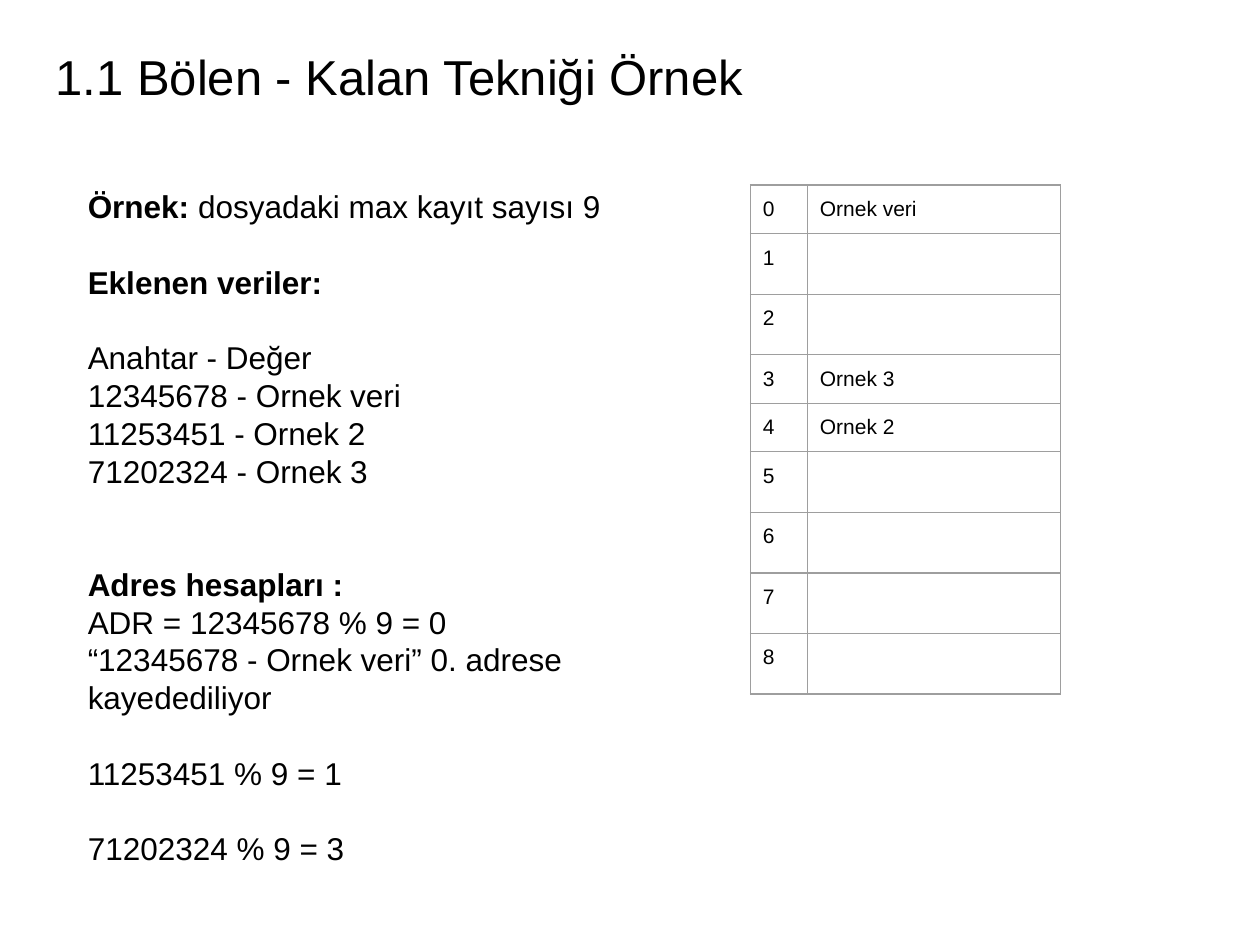
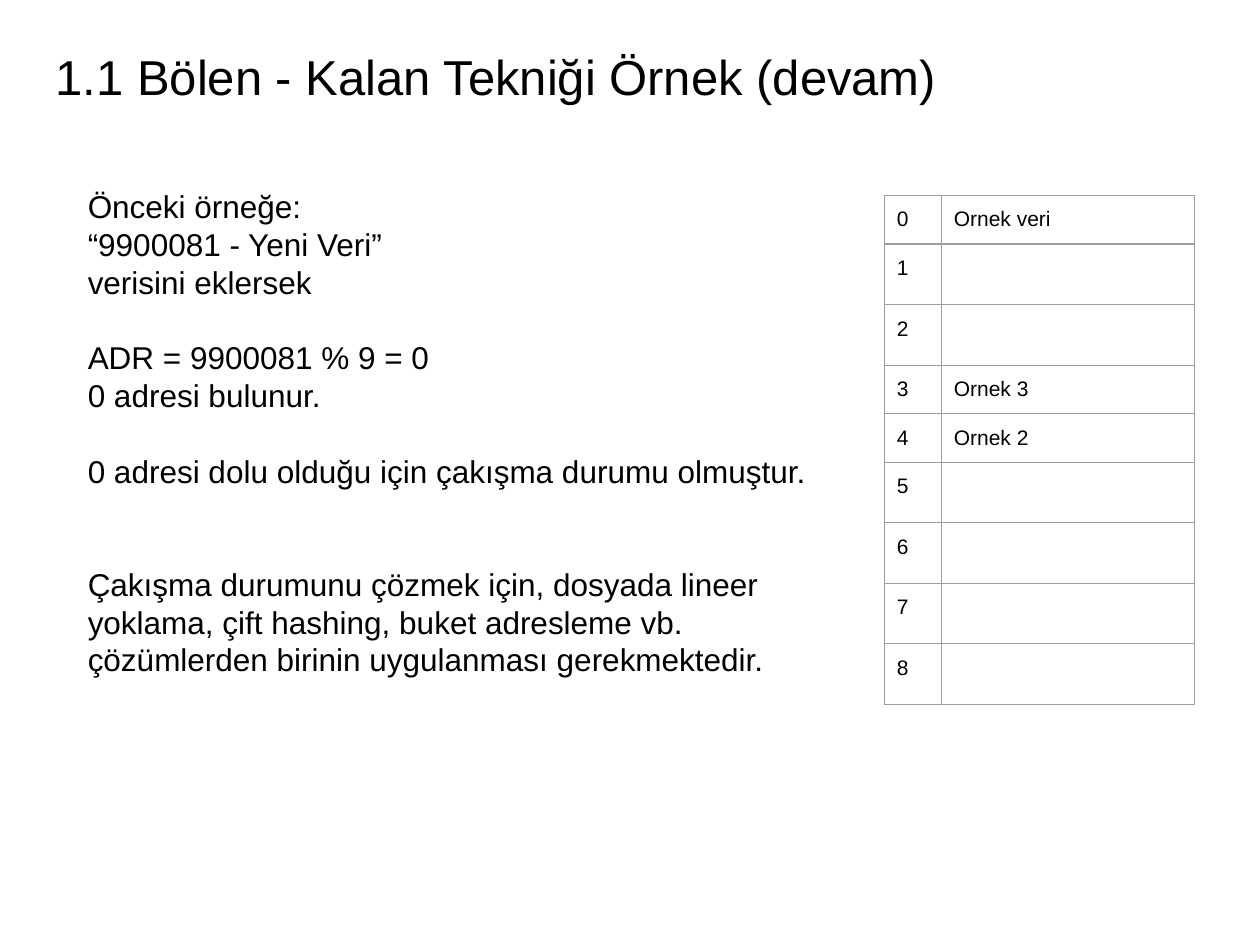
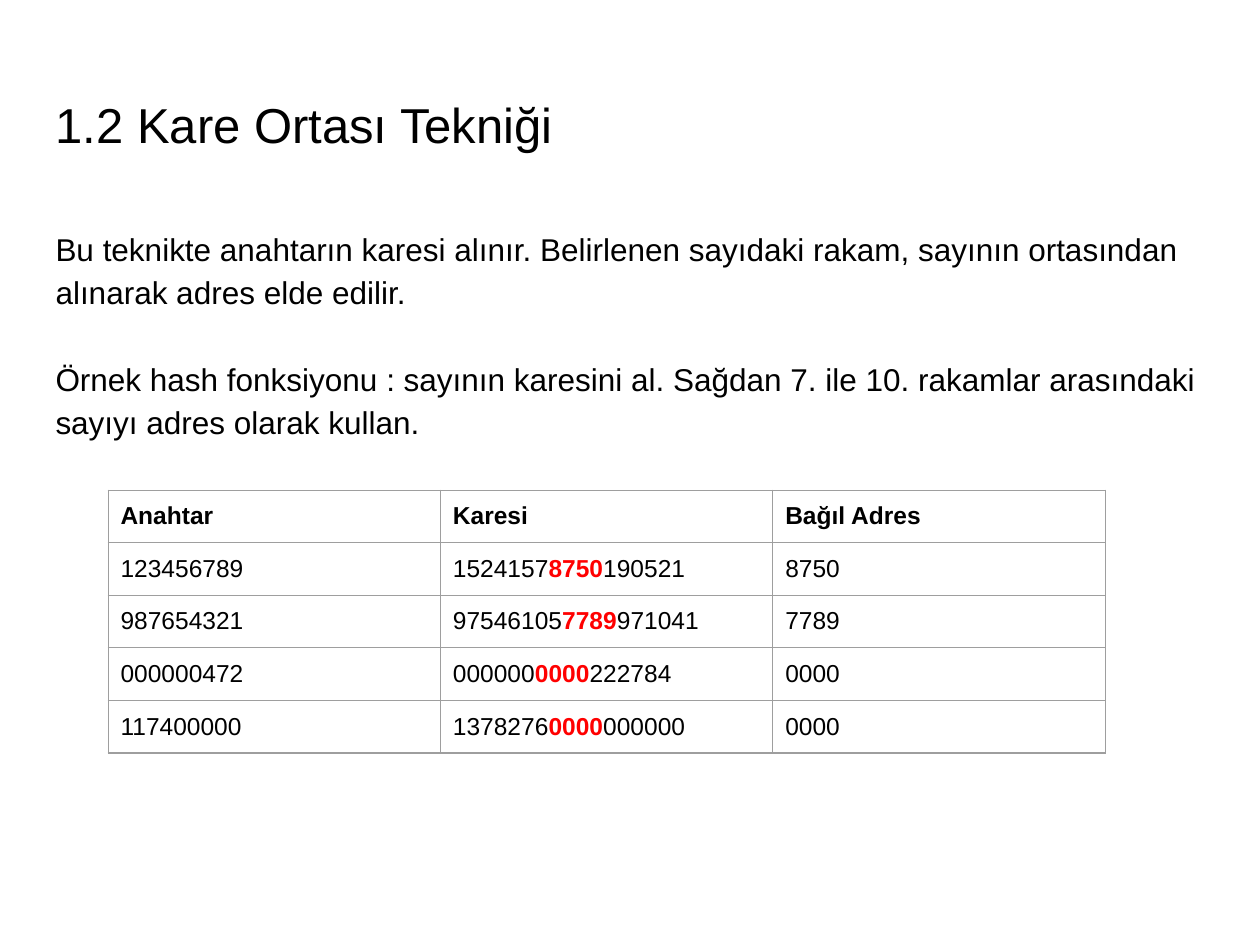
from lxml import etree
from pptx import Presentation
from pptx.dml.color import RGBColor
from pptx.enum.text import MSO_ANCHOR, MSO_AUTO_SIZE, PP_ALIGN
from pptx.oxml.ns import qn
from pptx.util import Cm, Pt

TOP, LEFT, NO_FIT = MSO_ANCHOR.TOP, PP_ALIGN.LEFT, MSO_AUTO_SIZE.NONE
BLACK = RGBColor(0x00, 0x00, 0x00)
RED = RGBColor(0xFF, 0x00, 0x00)
BORDER = RGBColor(0x9E, 0x9E, 0x9E)
FONT = "Arial"
INSET = Cm(0.25)
TITLE_PT, BODY_PT, SLOT_PT, KEY_PT = 28, 18, 12, 14
BLANK_LINE = 21.5  # points of one body line
TITLE_ONLY = 5

# A paragraph is (blank lines above, runs); a run is (text, bold, colour).
EXAMPLE_TEXT = [
    (0, [("Örnek:", True, BLACK), (" dosyadaki max kayıt sayısı 9", False, BLACK)]),
    (1, [("Eklenen veriler:", True, BLACK)]),
    (1, "Anahtar - Değer"),
    (0, "12345678 - Ornek veri"),
    (0, "11253451 - Ornek 2"),
    (0, "71202324 - Ornek 3"),
    (2, [("Adres hesapları :", True, BLACK)]),
    (0, "ADR = 12345678 % 9 = 0"),
    (0, "“12345678 - Ornek veri” 0. adrese kayedediliyor"),
    (1, "11253451 % 9 = 1"),
    (1, "71202324 % 9 = 3"),
]
COLLISION_TEXT = [
    (0, "Önceki örneğe:"),
    (0, "“9900081 - Yeni Veri”"),
    (0, "verisini eklersek"),
    (1, "ADR = 9900081 % 9 = 0"),
    (0, "0 adresi bulunur."),
    (1, "0 adresi dolu olduğu için çakışma durumu olmuştur."),
    (2, "Çakışma durumunu çözmek için, dosyada lineer yoklama, çift hashing, "
        "buket adresleme vb. çözümlerden birinin uygulanması gerekmektedir."),
]
MID_SQUARE_TEXT = [
    (0, "Bu teknikte anahtarın karesi alınır. Belirlenen sayıdaki rakam, "
        "sayının ortasından alınarak adres elde edilir."),
    (1, "Örnek hash fonksiyonu : sayının karesini al. Sağdan 7. ile 10. "
        "rakamlar arasındaki sayıyı adres olarak kullan."),
]
SLOTS = ["Ornek veri", "", "", "Ornek 3", "Ornek 2", "", "", "", ""]
KEY_HEADER = ["Anahtar", "Karesi", "Bağıl Adres"]
KEY_SQUARES = [
    ("123456789", "15241578750190521"),
    ("987654321", "975461057789971041"),
    ("000000472", "0000000000222784"),
    ("117400000", "13782760000000000"),
]


def add_runs(p, runs, size):
    """Add runs to a paragraph; a plain string is one regular black run."""
    if isinstance(runs, str):
        runs = [(runs, False, BLACK)]
    p.alignment = LEFT
    for text, bold, color in runs:
        r = p.add_run()
        r.text = text
        r.font.name, r.font.size, r.font.bold = FONT, Pt(size), bold
        r.font.color.rgb = color


def set_insets(item):
    item.margin_left = item.margin_right = INSET
    item.margin_top = item.margin_bottom = INSET


def format_frame(tf):
    set_insets(tf)
    tf.word_wrap = True
    tf.auto_size = NO_FIT
    tf.vertical_anchor = TOP


def add_titled_slide(prs, title, top=0.69, height=1.6):
    s = prs.slides.add_slide(prs.slide_layouts[TITLE_ONLY])
    sp = s.shapes.title
    sp.left, sp.top, sp.width, sp.height = Cm(0.87), Cm(top), Cm(23.67), Cm(height)
    format_frame(sp.text_frame)
    add_runs(sp.text_frame.paragraphs[0], title, TITLE_PT)
    return s


def add_body(s, paragraphs, left, top, width, height, spacing=1.0):
    tf = s.shapes.add_textbox(Cm(left), Cm(top), Cm(width), Cm(height)).text_frame
    format_frame(tf)
    for i, (blanks, runs) in enumerate(paragraphs):
        p = tf.add_paragraph() if i else tf.paragraphs[0]
        p.line_spacing = spacing
        p.space_before = Pt(blanks * BLANK_LINE * spacing)
        add_runs(p, runs, BODY_PT)


def add_borders(cell):
    tc_pr = cell._tc.get_or_add_tcPr()
    for side in ("a:lnL", "a:lnR", "a:lnT", "a:lnB"):
        ln = etree.SubElement(tc_pr, qn(side), w=str(Pt(0.75)))
        fill = etree.SubElement(ln, qn("a:solidFill"))
        etree.SubElement(fill, qn("a:srgbClr"), val=str(BORDER))


def add_grid(s, rows, left, top, widths, heights, size):
    table = s.shapes.add_table(len(rows), len(widths), Cm(left), Cm(top),
                               Cm(sum(widths)), Cm(sum(heights))).table
    table.first_row = table.horz_banding = False
    for column, width in zip(table.columns, widths):
        column.width = Cm(width)
    for i, (row, height) in enumerate(zip(rows, heights)):
        table.rows[i].height = Cm(height)
        for j, runs in enumerate(row):
            cell = table.cell(i, j)
            add_borders(cell)
            cell.fill.background()
            if runs:
                set_insets(cell)
                add_runs(cell.text_frame.paragraphs[0], runs, size)


def add_slot_table(s, left, top):
    rows = [(str(address), value) for address, value in enumerate(SLOTS)]
    heights = [0.98 if value else 1.22 for value in SLOTS]
    add_grid(s, rows, left, top, [1.15, 5.1], heights, SLOT_PT)


def key_rows():
    """Header, then each key with digits 7 to 10 of its square marked."""
    rows = [[[(text, True, BLACK)] for text in KEY_HEADER]]
    for key, square in KEY_SQUARES:
        head, address, tail = square[:-10], square[-10:-6], square[-6:]
        marked = [(head, False, BLACK), (address, True, RED), (tail, False, BLACK)]
        rows.append([key, marked, address])
    return rows


def main():
    prs = Presentation()
    prs.slide_width, prs.slide_height = Cm(25.4), Cm(19.05)

    s = add_titled_slide(prs, "1.1 Bölen - Kalan Tekniği Örnek")
    add_body(s, EXAMPLE_TEXT, 1.52, 3.53, 12.62, 14.76)
    add_slot_table(s, 15.13, 3.73)

    s = add_titled_slide(prs, "1.1 Bölen - Kalan Tekniği Örnek (devam)")
    add_body(s, COLLISION_TEXT, 1.52, 3.53, 15.98, 14.76)
    add_slot_table(s, 17.83, 3.94)

    s = add_titled_slide(prs, "1.2 Kare Ortası Tekniği", top=1.65, height=2.1)
    add_body(s, MID_SQUARE_TEXT, 0.87, 4.27, 23.67, 5.13, spacing=1.15)
    rows = key_rows()
    add_grid(s, rows, 2.18, 9.88, [6.7] * 3, [1.06] * len(rows), KEY_PT)

    prs.save("out.pptx")


if __name__ == "__main__":
    main()
